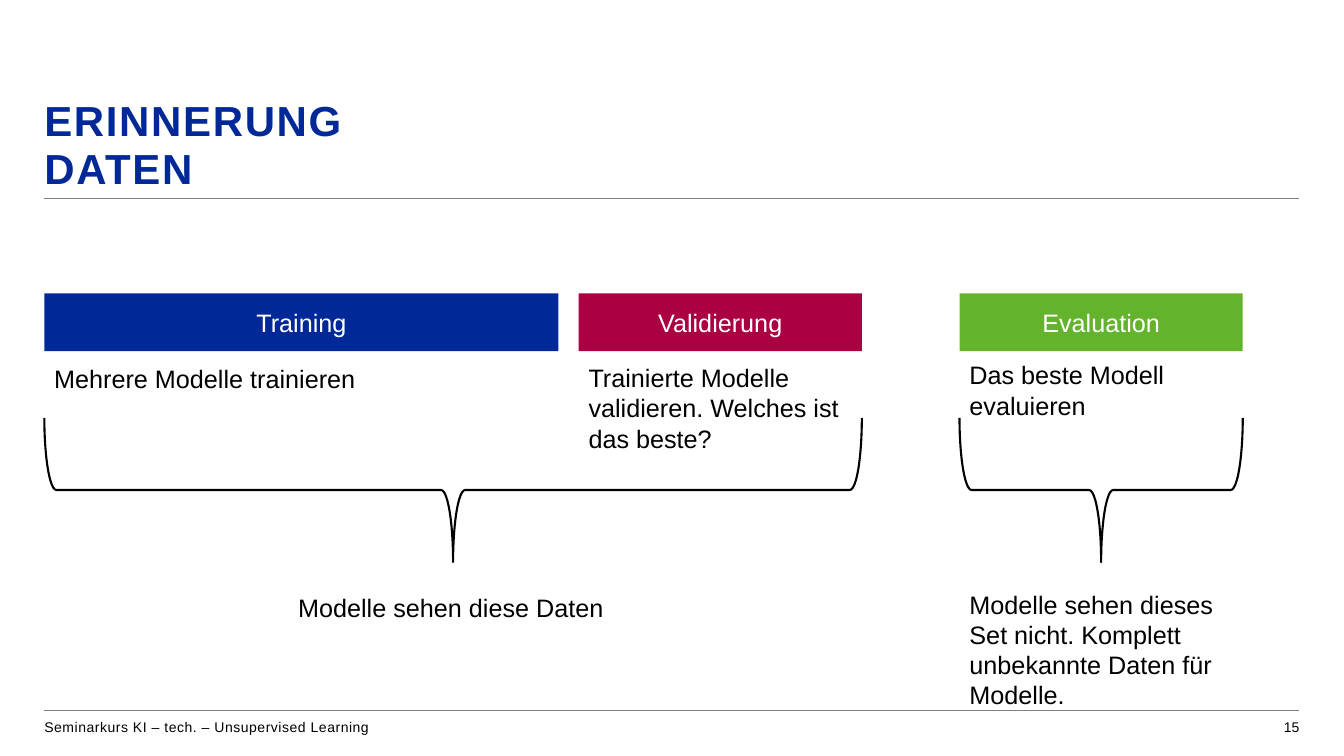
import pptx
import pptx.util
import pptx.dml.color
import pptx.enum.shapes
import pptx.enum.text
import pptx.oxml
import pptx.oxml.ns
from dataclasses import dataclass

Pt = pptx.util.Pt
Align = pptx.enum.text.PP_ALIGN
Anchor = pptx.enum.text.MSO_ANCHOR
AutoSize = pptx.enum.text.MSO_AUTO_SIZE


@dataclass(frozen=True)
class Theme:
    font: str = "Arial"
    blue: str = "002896"
    red: str = "AB0042"
    green: str = "64B32C"
    rule: str = "808080"
    ink: str = "000000"
    paper: str = "FFFFFF"
    title_size: int = 30
    text_size: int = 18
    footer_size: int = 10


THEME = Theme()

# Shared layout lines, in points
LEFT, RIGHT = 31.7, 928.1
TRAINING = (LEFT, 367.2)
VALIDATION = (413.3, 202.3)
EVALUATION = (685.4, 202.3)
SEEN = (LEFT, VALIDATION[0] + VALIDATION[1] - LEFT)
BAR_TOP, BAR_HEIGHT = 209.5, 41.3
BRACE_MIDDLE, BRACE_DEPTH = 350, 103


def rgb(code):
    return pptx.dml.color.RGBColor.from_string(code)


def write(frame, text, size, color, align=Align.LEFT, bold=False, tracking=0):
    paragraph = frame.paragraphs[0]
    paragraph.text = text
    paragraph.alignment = align
    for run in paragraph.runs:
        run.font.name = THEME.font
        run.font.size = Pt(size)
        run.font.bold = bold
        run.font.color.rgb = rgb(color)
        if tracking:
            run.font._element.set("spc", str(tracking))
    return paragraph


def remove_insets(frame):
    frame.margin_left = frame.margin_right = Pt(0)
    frame.margin_top = frame.margin_bottom = Pt(0)


def add_title(slide, text):
    title = slide.shapes.title
    title.left, title.top = Pt(LEFT), Pt(70.6)
    title.width, title.height = Pt(RIGHT - LEFT), Pt(67.8)
    frame = title.text_frame
    remove_insets(frame)
    frame.auto_size = AutoSize.NONE
    frame.vertical_anchor = Anchor.BOTTOM
    heading = write(frame, text, THEME.title_size, THEME.blue,
                    bold=True, tracking=120)
    heading.line_spacing = 0.94


def add_rule(slide, y):
    rule = slide.shapes.add_connector(
        pptx.enum.shapes.MSO_CONNECTOR.STRAIGHT,
        Pt(LEFT), Pt(y), Pt(RIGHT), Pt(y))
    rule.line.color.rgb = rgb(THEME.rule)
    rule.line.width = Pt(0.5)
    properties = rule._element.spPr
    properties.append(pptx.oxml.parse_xml(
        "<a:effectLst %s/>" % pptx.oxml.ns.nsdecls("a")))


def add_footer(slide, text, left, width, align=Align.LEFT, tracking=0):
    footer = slide.shapes.add_textbox(Pt(left), Pt(513.4), Pt(width), Pt(17.3))
    frame = footer.text_frame
    frame.word_wrap = True
    remove_insets(frame)
    write(frame, text, THEME.footer_size, THEME.ink, align, tracking=tracking)


def add_bar(slide, text, span, color):
    left, width = span
    bar = slide.shapes.add_shape(
        pptx.enum.shapes.MSO_SHAPE.RECTANGLE,
        Pt(left), Pt(BAR_TOP), Pt(width), Pt(BAR_HEIGHT))
    bar.shadow.inherit = False
    bar.fill.solid()
    bar.fill.fore_color.rgb = rgb(color)
    bar.line.fill.background()
    bar.text_frame.vertical_anchor = Anchor.MIDDLE
    write(bar.text_frame, text, THEME.text_size, THEME.paper, Align.CENTER)


def add_caption(slide, text, left, top, width, height):
    caption = slide.shapes.add_textbox(Pt(left), Pt(top), Pt(width), Pt(height))
    frame = caption.text_frame
    frame.word_wrap = True
    frame.auto_size = AutoSize.SHAPE_TO_FIT_TEXT
    write(frame, text, THEME.text_size, THEME.ink)


def add_brace(slide, span):
    # A left brace turned so that its tip points down
    left, width = span
    brace = slide.shapes.add_shape(
        pptx.enum.shapes.MSO_SHAPE.LEFT_BRACE,
        Pt(left + (width - BRACE_DEPTH) / 2), Pt(BRACE_MIDDLE - width / 2),
        Pt(BRACE_DEPTH), Pt(width))
    brace.rotation = 270
    brace.shadow.inherit = False
    brace.fill.background()
    brace.line.color.rgb = rgb(THEME.ink)
    brace.line.width = Pt(1.5)


def main():
    deck = pptx.Presentation()
    deck.slide_width, deck.slide_height = Pt(960), Pt(540)
    slide = deck.slides.add_slide(deck.slide_layouts.get_by_name("Title Only"))

    # Frame of the slide
    for y in (507.6, 141.8):
        add_rule(slide, y)
    add_footer(slide, "Seminarkurs KI – tech. – Unsupervised Learning",
               LEFT, 581, tracking=40)
    add_footer(slide, "15", RIGHT - 150, 150, Align.RIGHT)
    add_title(slide, "ERINNERUNG\nDATEN")

    # The three data sets
    for name, span, color in (("Training", TRAINING, THEME.blue),
                              ("Validierung", VALIDATION, THEME.red),
                              ("Evaluation", EVALUATION, THEME.green)):
        add_bar(slide, name, span, color)

    # Which sets the models see
    for span in (SEEN, EVALUATION):
        add_brace(slide, span)

    # Purpose of each set and conclusions
    for text, left, top, width, height in (
            ("Mehrere Modelle trainieren", LEFT, 255.8, 347.8, 29),
            ("Trainierte Modelle validieren. Welches ist das beste?",
             VALIDATION[0], 255.4, VALIDATION[1], 72.7),
            ("Das beste Modell evaluieren",
             EVALUATION[0], 253.4, EVALUATION[1], 51),
            ("Modelle sehen diese Daten", 205.9, 419.8, 347.8, 29),
            ("Modelle sehen dieses Set nicht. Komplett unbekannte Daten "
             "für Modelle.", EVALUATION[0], 417.2, EVALUATION[1], 94.5)):
        add_caption(slide, text, left, top, width, height)

    deck.save("out.pptx")


if __name__ == "__main__":
    main()
